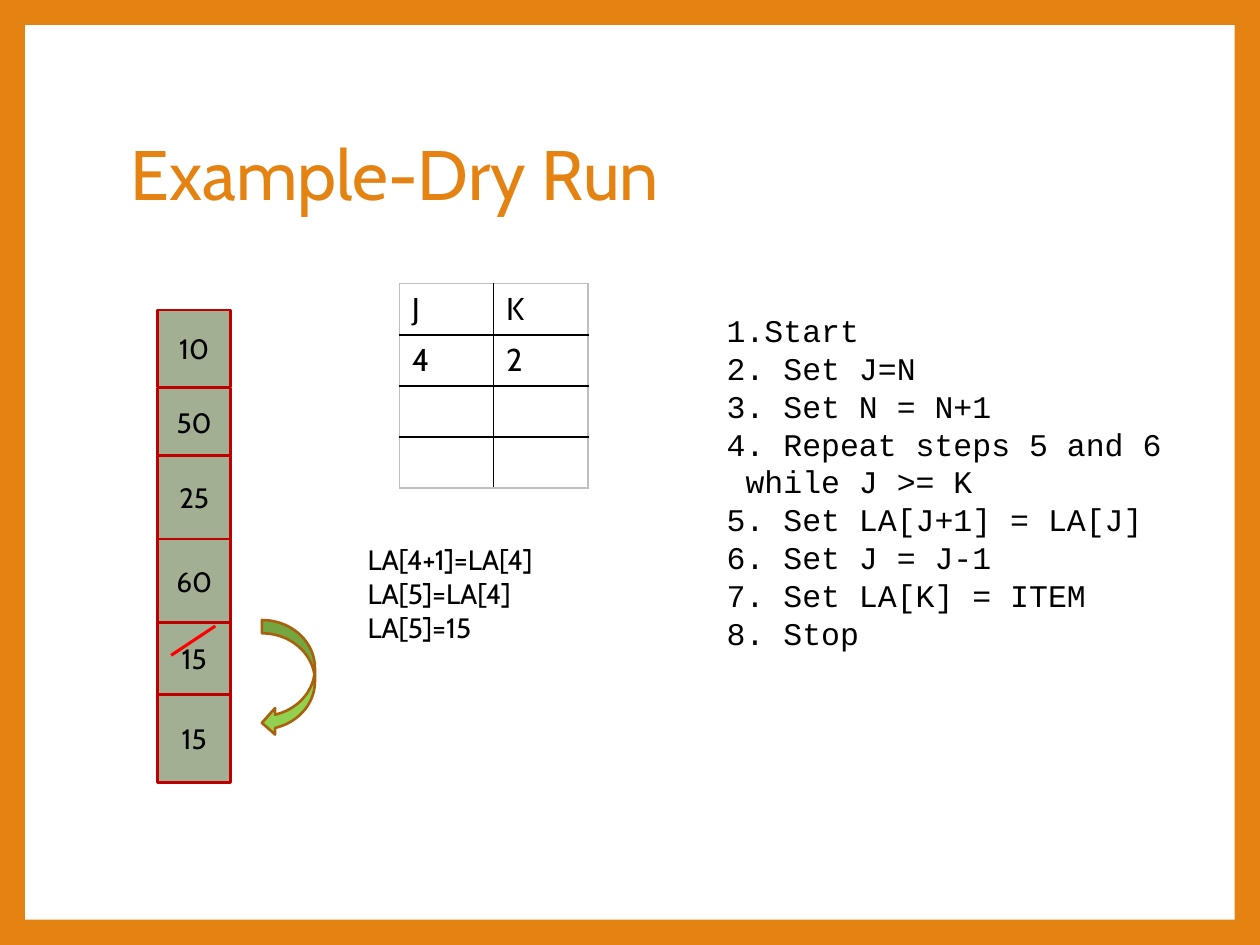
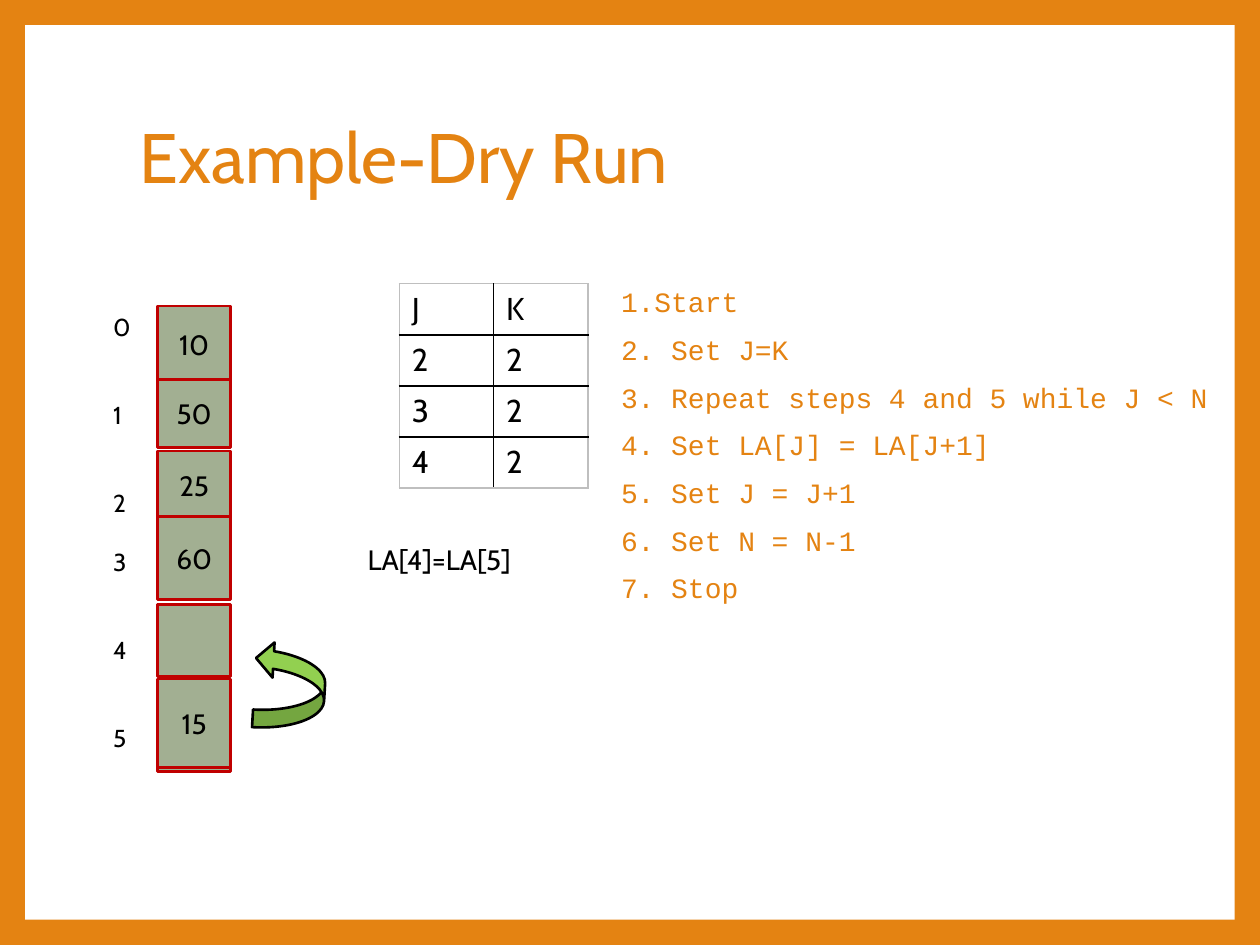
from lxml.etree import SubElement
from pptx import Presentation
from pptx.dml.color import RGBColor
from pptx.enum.shapes import MSO_CONNECTOR, MSO_SHAPE
from pptx.enum.text import MSO_ANCHOR, PP_ALIGN
from pptx.oxml import parse_xml
from pptx.oxml.ns import nsdecls, qn
from pptx.util import Cm, Pt

ORANGE, WHITE, BLACK = "E48312", "FFFFFF", "000000"
SAGE, DARK_RED, RED = "A2AF92", "C00000", "FF0000"
GREEN, BROWN, GRAY = "92D050", "A9610D", "BFBFBF"
SANS, MONO = "Cabin", "Courier New"
CELL_LEFT, CELL_WIDTH = 3.18, 1.47
COLUMN_WIDTH, ROW_HEIGHT = 1.9, 1.03

INSERT_STEPS = [
    "1.Start", "2. Set J=N", "3. Set N = N+1",
    "4. Repeat steps 5 and 6\v while J >= K", "5. Set LA[J+1] = LA[J]",
    "6. Set J = J-1", "7. Set LA[K] = ITEM", "8. Stop",
]
DELETE_STEPS = [
    "1.Start", "2. Set J=K", "3. Repeat steps 4 and 5 while J < N",
    "4. Set LA[J] = LA[J+1]", "5. Set J = J+1", "6. Set N = N-1", "7. Stop",
]
INSERT_ARRAY = [
    ("10", 6.25, 1.55), ("50", 7.82, 1.37), ("25", 9.19, 1.68),
    ("60", 10.87, 1.68), ("15", 12.55, 1.45), ("15", 14, 1.78),
]
DELETE_ARRAY = [
    ("10", 6.17, 1.55), ("50", 7.65, 1.37), ("25", 9.09, 1.4),
    ("60", 10.41, 1.68), ("", 12.19, 1.45), ("", 13.77, 1.78),
    ("15", 13.69, 1.78),
]


def color(value):
    """Turn a hex string into a colour."""
    return RGBColor.from_string(value)


def box(*lengths):
    """Turn centimetres into lengths."""
    return [Cm(length) for length in lengths]


def apply_format(target, values):
    """Set every attribute named in values."""
    for name, value in values.items():
        setattr(target, name, value)


def write(frame, lines, size, font=SANS, ink=BLACK, indent=0, **layout):
    """Write one paragraph per line and return the paragraphs."""
    for number, line in enumerate(lines):
        paragraph = frame.add_paragraph() if number else frame.paragraphs[0]
        paragraph.text = line
        apply_format(paragraph, layout)
        if indent:
            paragraph._p.get_or_add_pPr().set("marL", str(Cm(indent)))
        for run in paragraph.runs:
            apply_format(run.font, {"size": Pt(size), "name": font})
            run.font.color.rgb = color(ink)
    return frame.paragraphs


def add_text(slide, place, lines, size, anchor=MSO_ANCHOR.TOP, **style):
    """Add a wrapping text box and return its paragraphs."""
    frame = slide.shapes.add_textbox(*box(*place)).text_frame
    apply_format(frame, {"word_wrap": True, "vertical_anchor": anchor})
    return write(frame, lines, size, **style)


def add_figure(slide, kind, place, fill, line=None, rotation=0):
    """Add a flat preset shape."""
    shape = slide.shapes.add_shape(kind, *box(*place))
    shape.shadow.inherit = False
    shape.rotation = rotation
    shape.fill.solid()
    shape.fill.fore_color.rgb = color(fill)
    if line:
        shape.line.color.rgb = color(line)
        shape.line.width = Pt(1.5)
    else:
        shape.line.fill.background()
    return shape


def add_framed_slide(presentation, title_left, title_top):
    """Add a slide with the orange frame and the title."""
    slide = presentation.slides.add_slide(presentation.slide_layouts[6])
    slide.background.fill.solid()
    slide.background.fill.fore_color.rgb = color(ORANGE)
    add_figure(slide, MSO_SHAPE.RECTANGLE, (0.51, 0.51, 24.38, 18.03), WHITE)
    add_text(slide, (title_left, title_top, 20.57, 3.76), ["Example-Dry Run"],
             40, MSO_ANCHOR.MIDDLE, ink=ORANGE, line_spacing=0.9)
    return slide


def add_array(slide, cells):
    """Draw the array as a column of cells."""
    for value, top, height in cells:
        shape = add_figure(slide, MSO_SHAPE.RECTANGLE,
                           (CELL_LEFT, top, CELL_WIDTH, height), SAGE, DARK_RED)
        shape.text_frame.vertical_anchor = MSO_ANCHOR.MIDDLE
        if value:
            write(shape.text_frame, [value], 16, alignment=PP_ALIGN.CENTER)


def set_borders(cell, sides):
    """Give each side of a cell a thin line of the given colour."""
    properties = cell._tc.get_or_add_tcPr()
    for position, (side, ink) in enumerate(sides.items()):
        properties.insert(position, parse_xml(
            f'<a:{side} {nsdecls("a")} w="12700"><a:solidFill>'
            f'<a:srgbClr val="{ink}"/></a:solidFill></a:{side}>'))


def add_trace(slide, rows):
    """Add the table that traces J and K."""
    last_row, last_column = len(rows) - 1, len(rows[0]) - 1
    place = (8.05, 5.72, COLUMN_WIDTH * len(rows[0]), ROW_HEIGHT * len(rows))
    table = slide.shapes.add_table(len(rows), len(rows[0]), *box(*place)).table
    apply_format(table, {"first_row": False, "horz_banding": False})
    for row, values in enumerate(rows):
        for column, value in enumerate(values):
            cell = table.cell(row, column)
            cell.fill.background()
            set_borders(cell, {
                "lnL": BLACK if column else GRAY,
                "lnR": BLACK if column < last_column else GRAY,
                "lnT": BLACK if row else GRAY,
                "lnB": BLACK if row < last_row else GRAY,
            })
            if value:
                write(cell.text_frame, [value], 18)


def add_strike(slide, start, end):
    """Strike out a value with a red line."""
    line = slide.shapes.add_connector(MSO_CONNECTOR.STRAIGHT, *box(*start, *end))
    line.line.color.rgb = color(RED)
    line.line.width = Pt(1.75)
    SubElement(line._element.spPr, qn("a:effectLst"))


def add_indexes(slide, gaps):
    """Number the array cells, with a gap in points before each number."""
    labels = [str(number) for number in range(len(gaps))]
    paragraphs = add_text(slide, (2.03, 6.17, 1.07, 10.01), labels, 14)
    for paragraph, gap in zip(paragraphs, gaps):
        paragraph.space_before = Pt(gap)


def build_insertion(presentation):
    """Build the slide that shifts a value down."""
    slide = add_framed_slide(presentation, 2.39, 1.7)
    add_trace(slide, [("J", "K"), ("4", "2"), ("", ""), ("", "")])
    add_text(slide, (13.64, 6.15, 10.59, 7.19), INSERT_STEPS, 18,
             font=MONO, indent=0.76)
    add_array(slide, INSERT_ARRAY)
    add_text(slide, (7.16, 10.82, 5.61, 2.31),
             ["LA[4+1]=LA[4]", "LA[5]=LA[4]", "LA[5]=15"], 16)
    add_figure(slide, MSO_SHAPE.CURVED_LEFT_ARROW, (5.28, 12.5, 1.07, 2.34),
               GREEN, BROWN)
    add_strike(slide, (4.34, 12.62), (3.45, 13.21))


def build_deletion(presentation):
    """Build the slide that shifts a value up."""
    slide = add_framed_slide(presentation, 2.57, 1.37)
    add_text(slide, (12.27, 5.69, 12.5, 6.68), DELETE_STEPS, 16, font=MONO,
             ink=ORANGE, line_spacing=0.9, space_before=Pt(10))
    add_indexes(slide, [0, 33.5, 33.5, 16.75, 33.5, 33.5])
    add_array(slide, DELETE_ARRAY)
    add_trace(slide, [("J", "K"), ("2", "2"), ("3", "2"), ("4", "2")])
    add_text(slide, (7.16, 10.82, 5.61, 0.94), ["LA[4]=LA[5]"], 16)
    add_figure(slide, MSO_SHAPE.CURVED_RIGHT_ARROW, (5.13, 12.95, 1.42, 1.75),
               GREEN, BLACK, rotation=183.3)


def main():
    """Build and save the presentation."""
    presentation = Presentation()
    apply_format(presentation, {"slide_width": Cm(25.4), "slide_height": Cm(19.05)})
    build_insertion(presentation)
    build_deletion(presentation)
    presentation.save("out.pptx")


if __name__ == "__main__":
    main()
